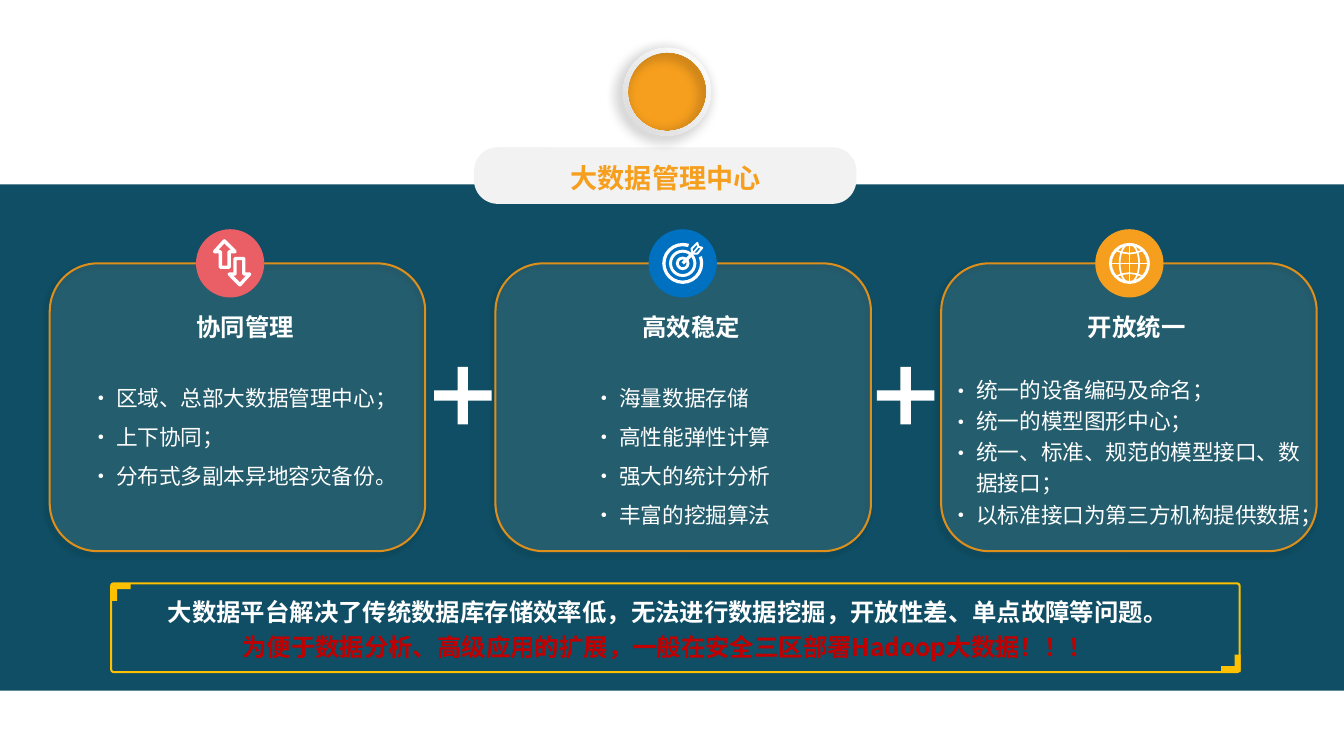
from lxml.etree import SubElement
from pptx import Presentation
from pptx.dml.color import RGBColor
from pptx.enum.shapes import MSO_CONNECTOR, MSO_SHAPE
from pptx.enum.text import MSO_ANCHOR, MSO_AUTO_SIZE, PP_ALIGN
from pptx.oxml.ns import qn
from pptx.util import Inches, Pt

FONT = "Noto Sans CJK SC"
WHITE = RGBColor(0xFF, 0xFF, 0xFF)
TEAL = RGBColor(0x0F, 0x4E, 0x64)
ORANGE = RGBColor(0xF6, 0x9F, 0x1E)
BRONZE = RGBColor(0xDE, 0x8F, 0x1B)
CREAM = RGBColor(0xEB, 0xF5, 0xD7)
YELLOW = RGBColor(0xFF, 0xC0, 0x00)
BLUE = RGBColor(0x00, 0x70, 0xC0)
CORAL = RGBColor(0xEA, 0x5E, 0x66)
RED = RGBColor(0xC0, 0x00, 0x00)
LIGHT_GREY = RGBColor(0xF2, 0xF2, 0xF2)
MID_GREY = RGBColor(0xD9, 0xD9, 0xD9)

PANELS = [
    ("协同管理", 2.36, CORAL, 0.83, 3.62, 1.5,
     ["区域、总部大数据管理中心；", "上下协同；", "分布式多副本异地容灾备份。"]),
    ("高效稳定", 7.0, BLUE, 5.99, 2.44, 1.5,
     ["海量数据存储", "高性能弹性计算", "强大的统计分析", "丰富的挖掘算法"]),
    ("开放统一", 11.58, ORANGE, 9.65, 3.84, Pt(23),
     ["统一的设备编码及命名；", "统一的模型图形中心；",
      "统一、标准、规范的模型接口、数据接口；", "以标准接口为第三方机构提供数据；"]),
]
PANEL_LEFT, PANEL_STEP, PANEL_WIDTH = 0.51, 4.57, 3.85
ICON_Y = 2.7


def paint(shape, fill=None, line=None, width=1.5):
    shape.shadow.inherit = False
    if fill is None:
        shape.fill.background()
    else:
        shape.fill.solid()
        shape.fill.fore_color.rgb = fill
    if line is None:
        shape.line.fill.background()
    else:
        shape.line.color.rgb = line
        shape.line.width = Pt(width)
    return shape


def write(shape, box, lines, size, colors, bold=False, align=PP_ALIGN.LEFT,
          spacing=1.0, bullet=False, wrap=True, anchor=MSO_ANCHOR.TOP):
    """Place a text shape on top and fill it, one paragraph per line."""
    shapes.element.append(shape.element)
    shape.left, shape.top, shape.width, shape.height = map(Inches, box)
    frame = shape.text_frame
    frame.text = "\n".join(lines)
    frame.word_wrap = wrap
    frame.auto_size = MSO_AUTO_SIZE.NONE
    frame.vertical_anchor = anchor
    for paragraph, color in zip(frame.paragraphs, colors):
        paragraph.alignment = align
        paragraph.line_spacing = spacing
        paragraph.space_before = Pt(0)
        properties = paragraph._p.get_or_add_pPr()
        indent = Inches(0.26) if bullet else 0
        properties.set("marL", str(indent))
        properties.set("indent", str(-indent))
        if bullet:
            SubElement(properties, qn("a:buFont"), typeface=FONT)
            SubElement(properties, qn("a:buChar"), char="•")
        else:
            SubElement(properties, qn("a:buNone"))
        font = paragraph.font
        font.size, font.bold, font.name = Pt(size), bold, FONT
        font.color.rgb = color
        SubElement(properties.find(qn("a:defRPr")), qn("a:ea"), typeface=FONT)


presentation = Presentation()
presentation.slide_width, presentation.slide_height = Inches(13.78), Inches(7.75)
slide = presentation.slides.add_slide(presentation.slide_layouts[4])
shapes = slide.shapes
title, message, *lists = list(slide.placeholders)

# Band, title pill, badge and message frame
for kind, box, fill, line, corner in [
    (MSO_SHAPE.RECTANGLE, (0, 1.89, 13.78, 5.19), TEAL, None, None),
    (MSO_SHAPE.ROUNDED_RECTANGLE, (4.86, 1.51, 3.92, 0.58), LIGHT_GREY, None, 0.42),
    (MSO_SHAPE.OVAL, (6.44, 0.54, 0.81, 0.81), ORANGE, None, None),
    (MSO_SHAPE.ROUNDED_RECTANGLE, (1.14, 5.98, 11.57, 0.91), None, YELLOW, 0.03),
]:
    shape = paint(shapes.add_shape(kind, *map(Inches, box)), fill, line)
    if corner is not None:
        shape.adjustments[0] = corner

badge_ring = paint(shapes.add_shape(
    MSO_SHAPE.DONUT, Inches(6.39), Inches(0.49), Inches(0.9), Inches(0.9)), WHITE)
badge_ring.adjustments[0] = 0.05
badge_ring.fill.gradient()
badge_ring.fill.gradient_angle = 225
for stop, color in zip(badge_ring.fill.gradient_stops, (WHITE, MID_GREY)):
    stop.color.rgb = color
shadowed = [(badge_ring, 50, 10, 4)]

# Three panels with headings, lists and icon discs
for i, (heading, icon_x, color, list_left, list_width, spacing, items) in enumerate(PANELS):
    left = PANEL_LEFT + i * PANEL_STEP
    panel = paint(shapes.add_shape(
        MSO_SHAPE.ROUNDED_RECTANGLE, Inches(left), Inches(2.7),
        Inches(PANEL_WIDTH), Inches(2.95)), CREAM, BRONZE)
    tint = panel.fill._xPr.find(qn("a:solidFill")).find(qn("a:srgbClr"))
    SubElement(tint, qn("a:alpha"), val="10000")
    shadowed.append((panel, 20, 4, 3))
    paint(shapes.add_shape(MSO_SHAPE.OVAL, Inches(icon_x - 0.35), Inches(ICON_Y - 0.35),
                           Inches(0.7), Inches(0.7)), color)
    write(shapes.add_textbox(0, 0, 0, 0), (left + 1.4, 3.15, 1.21, 0.4), [heading],
          18, [WHITE], bold=True, align=PP_ALIGN.CENTER, wrap=False)
    write(lists[i], (list_left, 3.76, list_width, 1.72), items,
          16, [WHITE] * len(items), spacing=spacing, bullet=True)

for shape, alpha, blur, distance in shadowed:
    effects = shape.element.spPr.find(qn("a:effectLst"))
    shadow = SubElement(effects, qn("a:outerShdw"), blurRad=str(Pt(blur)),
                        dist=str(Pt(distance)), dir="8100000", algn="tr", rotWithShape="0")
    black = SubElement(shadow, qn("a:srgbClr"), val="000000")
    SubElement(black, qn("a:alpha"), val=str(alpha * 1000))

for plus_left in (4.45, 8.99):
    plus = paint(shapes.add_shape(MSO_SHAPE.CROSS, Inches(plus_left), Inches(3.76),
                                  Inches(0.59), Inches(0.59)), WHITE)
    plus.adjustments[0] = 0.41

# Rings of the target and the globe: centre, radius, thickness
target_x, globe_x = PANELS[1][1], PANELS[2][1]
for x, radius, thickness in [(target_x, 0.14, 0.03), (target_x, 0.07, 0.03),
                             (globe_x, 0.21, 0.03)]:
    ring = paint(shapes.add_shape(
        MSO_SHAPE.DONUT, Inches(x - radius), Inches(ICON_Y - radius),
        Inches(2 * radius), Inches(2 * radius)), WHITE)
    ring.adjustments[0] = thickness / (2 * radius)

open_ring = paint(shapes.add_shape(
    MSO_SHAPE.BLOCK_ARC, Inches(target_x - 0.21), Inches(ICON_Y - 0.21),
    Inches(0.42), Inches(0.42)), WHITE)
for i, value in enumerate((339 * 0.6, 288 * 0.6, 0.08)):
    open_ring.adjustments[i] = value

paint(shapes.add_shape(MSO_SHAPE.OVAL, Inches(globe_x - 0.1), Inches(ICON_Y - 0.2),
                       Inches(0.2), Inches(0.4)), None, WHITE, 1.25)

# Outlines: points, closed, fill, line, line width
up_arrow = [(2.3, 2.47), (2.41, 2.58), (2.35, 2.58), (2.35, 2.74),
            (2.26, 2.74), (2.26, 2.58), (2.2, 2.58)]
down_arrow = [(4.76 - x, 5.39 - y) for x, y in up_arrow]
feather = [(7.09, 2.55), (7.15, 2.49), (7.16, 2.53), (7.2, 2.54), (7.15, 2.6), (7.1, 2.6)]
bracket = [(0, 0), (0.2, 0), (0.2, 0.06), (0.06, 0.06), (0.06, 0.18), (0, 0.18)]
outlines = [(up_arrow, True, None, WHITE, 2.5), (down_arrow, True, None, WHITE, 2.5),
            (feather, True, BLUE, WHITE, 1.5)]
for x, y, sign in [(1.14, 5.98, 1), (12.72, 6.89, -1)]:
    corner = [(x + sign * dx, y + sign * dy) for dx, dy in bracket]
    outlines.append((corner, True, YELLOW, None, 0))
for sign in (-1, 1):
    latitude = [(globe_x + dx, ICON_Y + sign * dy)
                for dx, dy in [(-0.13, 0.13), (-0.07, 0.11), (0, 0.1), (0.07, 0.11), (0.13, 0.13)]]
    outlines.append((latitude, False, None, WHITE, 1.25))
for points, closed, fill, line, width in outlines:
    start, *others = [(Inches(x), Inches(y)) for x, y in points]
    builder = shapes.build_freeform(*start, scale=1.0)
    builder.add_line_segments(others, close=closed)
    paint(builder.convert_to_shape(), fill, line, width)

# Globe axes, arrow shaft and feather crease
for ends, width in [((globe_x, ICON_Y - 0.2, globe_x, ICON_Y + 0.2), 1.25),
                    ((globe_x - 0.2, ICON_Y, globe_x + 0.2, ICON_Y), 1.25),
                    ((target_x, ICON_Y, 7.1, 2.6), 2.25),
                    ((7.1, 2.6, 7.16, 2.53), 1.25)]:
    stroke = shapes.add_connector(MSO_CONNECTOR.STRAIGHT, *map(Inches, ends))
    stroke.line.color.rgb = WHITE
    stroke.line.width = Pt(width)
    SubElement(stroke.element.spPr, qn("a:effectLst"))

write(title, (5.73, 1.6, 2.19, 0.44), ["大数据管理中心"], 20, [ORANGE], bold=True,
      align=PP_ALIGN.CENTER, wrap=False, anchor=MSO_ANCHOR.MIDDLE)
write(message, (1.35, 6.01, 10.99, 0.8),
      ["大数据平台解决了传统数据库存储效率低，无法进行数据挖掘，开放性差、单点故障等问题。",
       "为便于数据分析、高级应用的扩展，一般在安全三区部署Hadoop大数据！！！"],
      18, [WHITE, RED], bold=True, align=PP_ALIGN.CENTER, spacing=1.2)

presentation.save("out.pptx")
